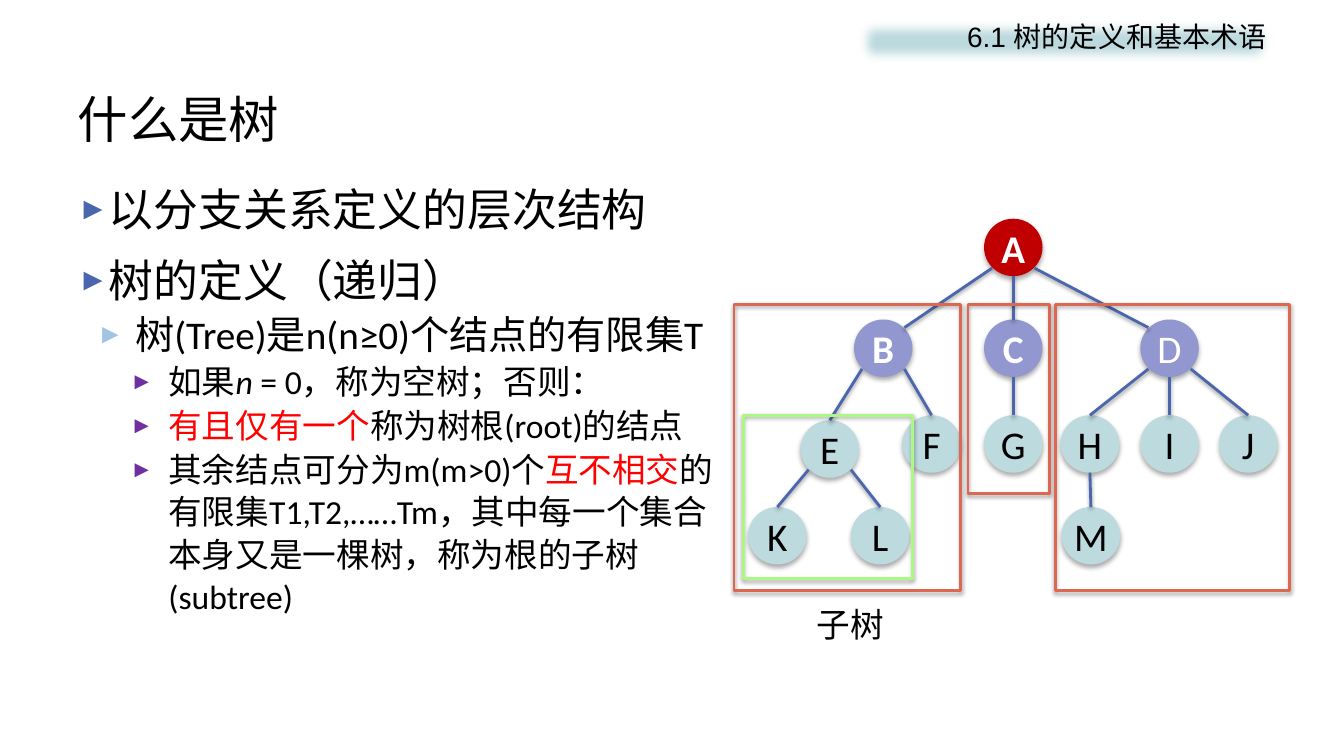
import dataclasses
import enum
import math
import typing

import pptx
import pptx.dml.color
import pptx.enum.shapes
import pptx.enum.text
import pptx.oxml
import pptx.oxml.ns
import pptx.util

RGBColor = pptx.dml.color.RGBColor
PP_ALIGN = pptx.enum.text.PP_ALIGN
ANCHOR = pptx.enum.text.MSO_ANCHOR
SHAPE = pptx.enum.shapes.MSO_SHAPE

BLACK = RGBColor(0x00, 0x00, 0x00)
WHITE = RGBColor(0xFF, 0xFF, 0xFF)
RED = RGBColor(0xFF, 0x00, 0x00)
ROOT_RED = RGBColor(0xC0, 0x00, 0x00)
LILAC = RGBColor(0x92, 0x97, 0xCF)
TEAL = RGBColor(0xBD, 0xDA, 0xDF)
BLUE = RGBColor(0x4A, 0x66, 0xAC)
LIGHT_BLUE = RGBColor(0xA1, 0xC4, 0xE3)
PURPLE = RGBColor(0x70, 0x30, 0xA0)
CORAL = RGBColor(0xDD, 0x68, 0x51)
GREEN = RGBColor(0xAB, 0xF8, 0x84)

EMU_PER_PX = 9144  # 100 px to the inch
CJK_FONT = "Noto Sans CJK SC"
NODE_W, NODE_H = 58, 57
DIAGONAL = math.sqrt(0.5)


class Site(enum.Enum):
    """Point on a node's rim, as a direction from its centre."""
    N = (0, -1)
    NE = (DIAGONAL, -DIAGONAL)
    NW = (-DIAGONAL, -DIAGONAL)
    S = (0, 1)
    SE = (DIAGONAL, DIAGONAL)
    SW = (-DIAGONAL, DIAGONAL)


@dataclasses.dataclass(frozen=True)
class Node:
    left: int
    top: int
    fill: RGBColor = TEAL
    color: RGBColor = BLACK
    bold: bool = False

    def rim(self, site: Site) -> tuple[int, int]:
        dx, dy = site.value
        return (round(self.left + NODE_W / 2 * (1 + dx)),
                round(self.top + NODE_H / 2 * (1 + dy)))


class Edge(typing.NamedTuple):
    parent: str
    leave: Site
    child: str
    arrive: Site = Site.N


class Frame(typing.NamedTuple):
    box: tuple[int, int, int, int]
    color: RGBColor


class Item(typing.NamedTuple):
    """One list entry; runs are (text, format) pairs."""
    level: int
    margin: int
    indent: int
    size: int
    spacing: float
    before: float
    bullet: RGBColor
    runs: list[tuple[str, dict]]


NODES = {
    "A": Node(976, 217, ROOT_RED, WHITE, True),
    "B": Node(847, 317, LILAC, WHITE, True),
    "C": Node(976, 317, LILAC, WHITE, True),
    "D": Node(1131, 317, LILAC, WHITE),
    "E": Node(794, 417),
    "F": Node(895, 412),
    "G": Node(976, 412),
    "H": Node(1052, 412),
    "I": Node(1131, 412),
    "J": Node(1209, 412),
    "K": Node(742, 503),
    "L": Node(844, 503),
    "M": Node(1053, 503),
}
EDGES = [
    Edge("A", Site.SW, "B", Site.NE), Edge("A", Site.SE, "D", Site.NW), Edge("A", Site.S, "C"),
    Edge("B", Site.SW, "E"), Edge("B", Site.SE, "F"), Edge("C", Site.S, "G"),
    Edge("D", Site.SW, "H"), Edge("D", Site.S, "I"), Edge("D", Site.SE, "J"),
    Edge("E", Site.SW, "K"), Edge("E", Site.SE, "L"), Edge("H", Site.S, "M"),
]
SUBTREES = [
    Frame((728, 302, 225, 284), CORAL),
    Frame((960, 302, 81, 188), CORAL),
    Frame((1047, 302, 232, 284), CORAL),
    Frame((737, 412, 168, 162), GREEN),
]
DETAIL = (2, 90, -38, 24, 1.05, 1.2, PURPLE)
ITEMS = [
    Item(0, 28, -28, 32, 1.0, 0, BLUE, [("以分支关系定义的层次结构", {})]),
    Item(0, 24, -38, 32, 1.15, 6.4, BLUE, [("树的定义（递归）", {})]),
    Item(1, 57, -38, 28, 1.05, 1.4, LIGHT_BLUE, [("树(Tree)是n(n≥0)个结点的有限集T", {})]),
    Item(*DETAIL, [("如果", {}), ("n", {"italic": True}), (" = 0，称为空树；否则：", {})]),
    Item(*DETAIL, [("有且仅有一个", {"color": RED}), ("称为树根(root)的结点", {})]),
    Item(*DETAIL, [("其余结点可分为m(m>0)个", {}), ("互不相交", {"color": RED}),
                   ("的有限集T1,T2,……Tm，其中每一个集合本身又是一棵树，称为根的子树(subtree)", {})]),
]


def px(*lengths: float) -> list[pptx.util.Emu]:
    return [pptx.util.Emu(round(length * EMU_PER_PX)) for length in lengths]


def add_run(paragraph, text: str, *, size: int, font: str = "Calibri", color: RGBColor = BLACK,
            bold: bool = False, italic: bool = False) -> None:
    run = paragraph.add_run()
    run.text = text
    run.font.size = pptx.util.Pt(size)
    run.font.name = font
    run.font.color.rgb = color
    run.font.bold = bold
    run.font.italic = italic
    east_asian = pptx.oxml.parse_xml(
        f'<a:ea {pptx.oxml.ns.nsdecls("a")} typeface="{CJK_FONT}"/>')
    run.font._element.append(east_asian)


def set_effect(shape, effect: str) -> None:
    """Give a shape or connector one effect; call after its fill and line are set."""
    shape._element.spPr.append(pptx.oxml.parse_xml(
        f'<a:effectLst {pptx.oxml.ns.nsdecls("a")}>{effect}</a:effectLst>'))


def cast_shadow(shape, alpha: int, blur: float, distance: float) -> None:
    set_effect(shape, f'<a:outerShdw blurRad="{pptx.util.Pt(blur)}" dist="{pptx.util.Pt(distance)}" '
                      'dir="5400000" rotWithShape="0"><a:srgbClr val="000000">'
                      f'<a:alpha val="{alpha * 1000}"/></a:srgbClr></a:outerShdw>')


def place(shape, left: int, top: int, width: int, height: int) -> None:
    shape.left, shape.top, shape.width, shape.height = px(left, top, width, height)


def add_item(paragraph, item: Item) -> None:
    paragraph.level = item.level
    paragraph.line_spacing = item.spacing
    paragraph.space_before = pptx.util.Pt(item.before)
    properties = paragraph._p.get_or_add_pPr()
    margin, indent = px(item.margin, item.indent)
    properties.set("marL", str(margin))
    properties.set("indent", str(indent))
    for tag in (f'<a:buClr {{}}><a:srgbClr val="{item.bullet}"/></a:buClr>',
                '<a:buSzPct {} val="70000"/>', '<a:buFont {} typeface="Arial"/>',
                '<a:buChar {} char="►"/>'):
        properties.append(pptx.oxml.parse_xml(tag.format(pptx.oxml.ns.nsdecls("a"))))
    for text, formatting in item.runs:
        add_run(paragraph, text, size=item.size, **formatting)


def add_node(shapes, label: str, node: Node) -> None:
    circle = shapes.add_shape(SHAPE.OVAL, *px(node.left, node.top, NODE_W, NODE_H))
    circle.fill.solid()
    circle.fill.fore_color.rgb = node.fill
    circle.line.fill.background()
    cast_shadow(circle, 32, 3.5, 2.2)
    circle.text_frame.word_wrap = False
    circle.text_frame.vertical_anchor = ANCHOR.MIDDLE
    paragraph = circle.text_frame.paragraphs[0]
    paragraph.alignment = PP_ALIGN.CENTER
    add_run(paragraph, label, size=28, color=node.color, bold=node.bold)


def add_edge(shapes, edge: Edge) -> None:
    start, end = NODES[edge.parent].rim(edge.leave), NODES[edge.child].rim(edge.arrive)
    branch = shapes.add_connector(pptx.enum.shapes.MSO_CONNECTOR.STRAIGHT, *px(*start, *end))
    branch.line.color.rgb = BLUE
    branch.line.width = pptx.util.Pt(2)
    cast_shadow(branch, 38, 3.1, 1.6)


def add_frame(shapes, frame: Frame) -> None:
    outline = shapes.add_shape(SHAPE.RECTANGLE, *px(*frame.box))
    outline.fill.background()
    outline.line.color.rgb = frame.color
    outline.line.width = pptx.util.Pt(2)
    cast_shadow(outline, 38, 3.1, 1.6)


def add_section_header(shapes) -> None:
    header = shapes.add_shape(SHAPE.RECTANGLE, *px(846, 14, 420, 54))
    header.fill.solid()
    header.fill.fore_color.rgb = TEAL
    header.line.fill.background()
    set_effect(header, '<a:softEdge rad="112500"/>')
    header.text_frame.word_wrap = True
    header.text_frame.vertical_anchor = ANCHOR.TOP
    paragraph = header.text_frame.paragraphs[0]
    paragraph.alignment = PP_ALIGN.RIGHT
    add_run(paragraph, "6.1 树的定义和基本术语", size=20, font="Arial")


def main() -> None:
    presentation = pptx.Presentation()
    presentation.slide_width, presentation.slide_height = px(1333, 750)
    slide = presentation.slides.add_slide(presentation.slide_layouts[1])
    shapes = slide.shapes

    title, body = shapes.title, slide.placeholders[1]
    place(title, 67, 80, 1200, 75)
    title.text_frame.vertical_anchor = ANCHOR.MIDDLE
    title.text_frame.paragraphs[0].alignment = PP_ALIGN.LEFT
    add_run(title.text_frame.paragraphs[0], "什么是树", size=36, font=CJK_FONT)

    place(body, 67, 175, 663, 495)
    body.text_frame.auto_size = pptx.enum.text.MSO_AUTO_SIZE.NONE
    for index, item in enumerate(ITEMS):
        frame = body.text_frame
        add_item(frame.add_paragraph() if index else frame.paragraphs[0], item)

    add_section_header(shapes)
    tree = shapes.add_group_shape().shapes
    for label, node in NODES.items():
        add_node(tree, label, node)
    for edge in EDGES:
        add_edge(tree, edge)
    for subtree in SUBTREES:
        add_frame(shapes, subtree)

    caption = shapes.add_textbox(*px(800, 594, 88, 50))
    caption.text_frame.word_wrap = False
    add_run(caption.text_frame.paragraphs[0], "子树", size=24)
    presentation.save("out.pptx")


if __name__ == "__main__":
    main()
